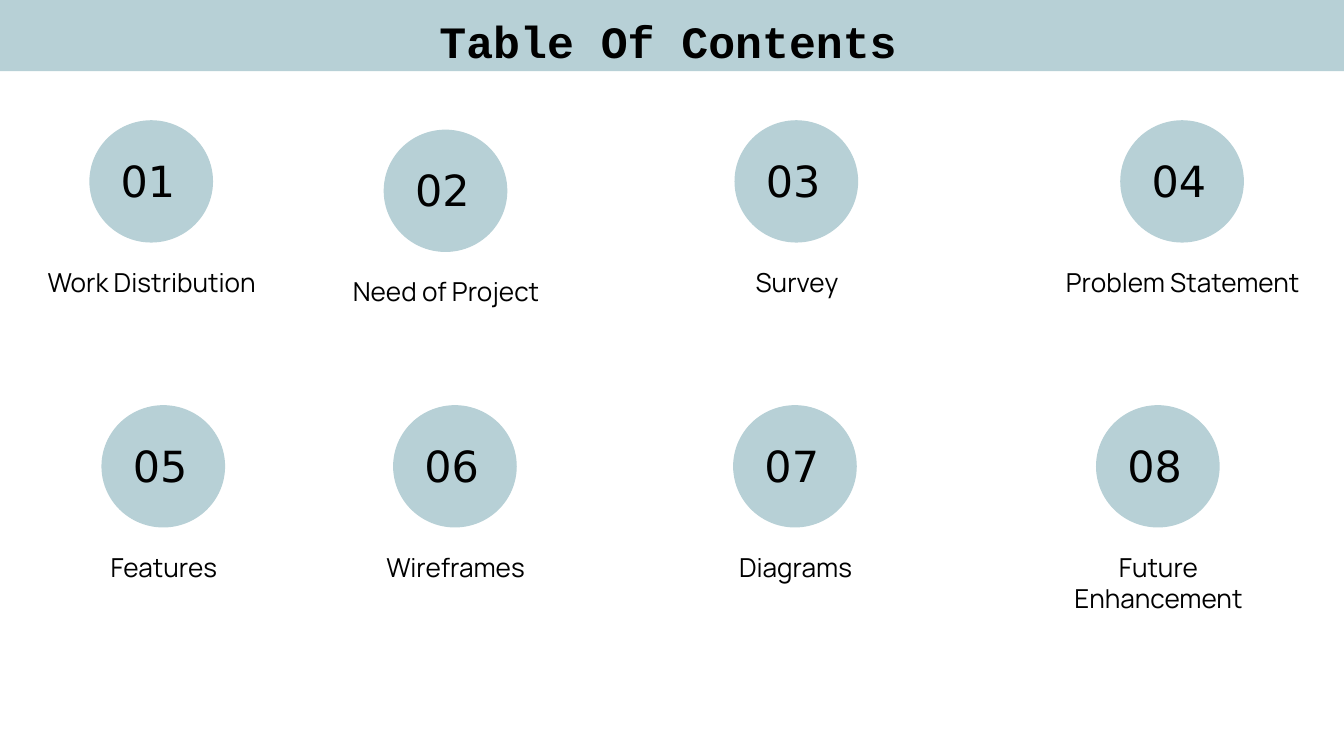
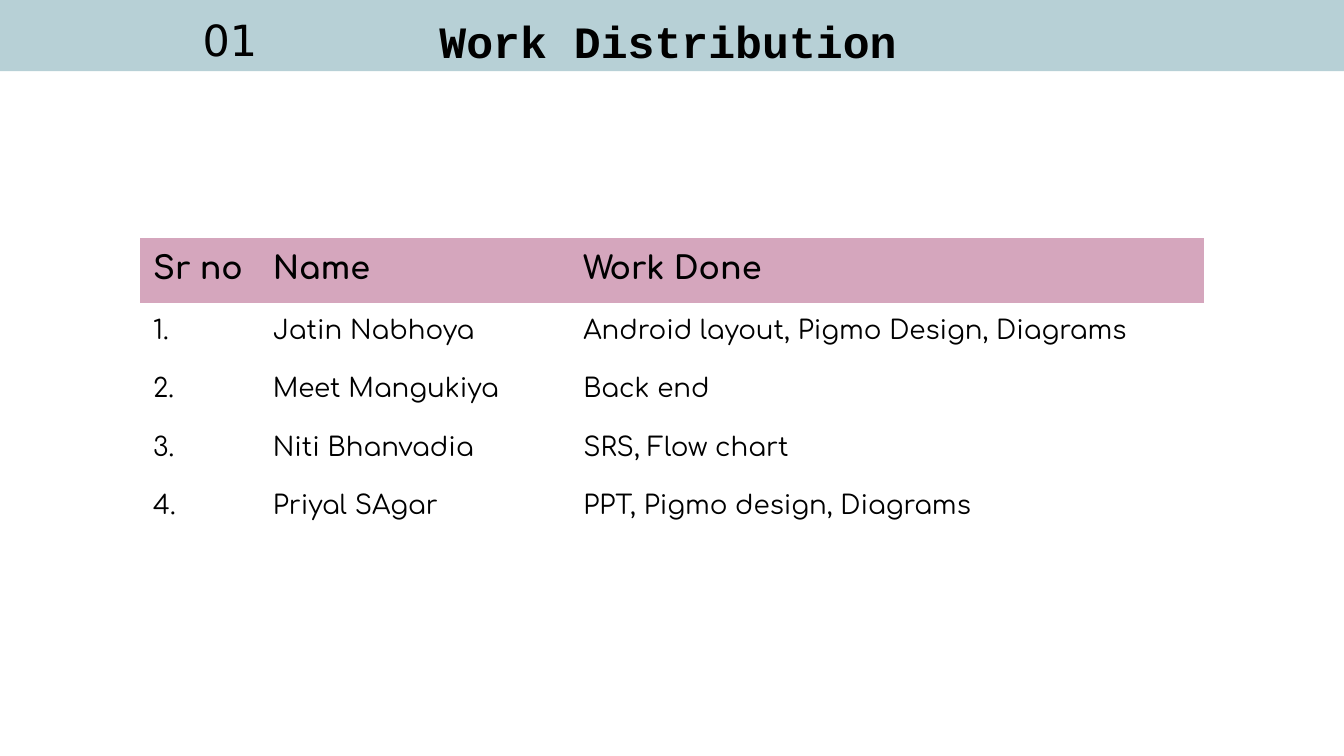
"""Build a contents slide and a work table slide under one shared band."""
import dataclasses
import typing

import pptx
import pptx.dml.color
import pptx.enum.shapes
import pptx.enum.text
import pptx.oxml.ns
import pptx.util

Align = pptx.enum.text.PP_ALIGN
Shape = pptx.enum.shapes.MSO_SHAPE


@dataclasses.dataclass(frozen=True)
class Style:
    """Font, size, weight and alignment of a text."""
    font: str
    size: float
    bold: bool = False
    align: Align = Align.LEFT


@dataclasses.dataclass(frozen=True)
class Theme:
    """Colours and type of the deck."""
    band: str = "B7D0D6"
    head: str = "D5A6BD"
    paper: str = "FFFFFF"
    ink: str = "000000"
    title: Style = Style("Courier New", 24, True, Align.CENTER)
    number: Style = Style("DejaVu Sans", 23)
    label: Style = Style("Manrope", 14, False, Align.CENTER)
    header: Style = Style("Comfortaa", 17, True)
    body: Style = Style("Comfortaa", 14)


class Box(typing.NamedTuple):
    """Left, top, width and height in grid columns and rows."""
    left: float
    top: float
    width: float
    height: float


@dataclasses.dataclass(frozen=True)
class Topic:
    """A numbered disc with a label below it."""
    text: str
    left: float
    top: float
    lines: int = 1


THEME = Theme()
CELL = 0.1
WIDE, HIGH = 100, 56.25
DISC = (9.1, 9)
LABEL = (20.2, 4.4)
LINE = 2.3
FIRST, LAST = 9, 30.2
TOPICS = (
    Topic("Work Distribution", 6.7, FIRST),
    Topic("Need of Project", 28.6, FIRST + 0.7),
    Topic("Survey", 54.7, FIRST),
    Topic("Problem Statement", 83.4, FIRST),
    Topic("Features", 7.6, LAST),
    Topic("Wireframes", 29.3, LAST),
    Topic("Diagrams", 54.6, LAST),
    Topic("Future Enhancement", 81.6, LAST, 2),
)
COLS = (8.9, 23.1, 47.2)
ROW = 4.2
TASKS = (
    ("Sr no", "Name", "Work Done"),
    ("1.", "Jatin Nabhoya", "Android layout, Pigmo Design, Diagrams"),
    ("2.", "Meet Mangukiya", "Back end"),
    ("3.", "Niti Bhanvadia", "SRS, Flow chart"),
    ("4.", "Priyal SAgar", "PPT, Pigmo design, Diagrams"),
)


def span(count: float) -> int:
    """Turn a count of grid cells into a length."""
    return pptx.util.Inches(count * CELL)


def frame(box: Box) -> tuple[int, ...]:
    """Turn a grid box into four lengths."""
    return tuple(span(side) for side in box)


def tint(code: str) -> pptx.dml.color.RGBColor:
    """Turn a hex code into a colour."""
    return pptx.dml.color.RGBColor.from_string(code)


def write(text_frame, text: str, *, style: Style, colour: str = THEME.ink) -> None:
    """Write one formatted paragraph."""
    text_frame.word_wrap = True
    line = text_frame.paragraphs[0]
    line.alignment = style.align
    line.line_spacing = 1.0
    run = line.add_run()
    run.text = text
    run.font.name = style.font
    run.font.size = pptx.util.Pt(style.size)
    run.font.bold = style.bold
    run.font.color.rgb = tint(colour)


def inset(item) -> None:
    """Give a text frame or cell equal margins and set it to the top."""
    item.margin_left = item.margin_right = span(1)
    item.margin_top = item.margin_bottom = span(1)
    item.vertical_anchor = pptx.enum.text.MSO_ANCHOR.TOP


def fill_box(shape, text: str, style: Style) -> None:
    """Write into a box that grows with its text."""
    inset(shape.text_frame)
    write(shape.text_frame, text, style=style)
    shape.text_frame.auto_size = pptx.enum.text.MSO_AUTO_SIZE.SHAPE_TO_FIT_TEXT


def add_text(slide, box: Box, text: str, style: Style) -> None:
    """Add a text box."""
    fill_box(slide.shapes.add_textbox(*frame(box)), text, style)


def add_form(slide, kind: Shape, box: Box, line: bool):
    """Add a flat shape in the band colour."""
    shape = slide.shapes.add_shape(kind, *frame(box))
    shape.shadow.inherit = False
    shape.fill.solid()
    shape.fill.fore_color.rgb = tint(THEME.band)
    if line:
        shape.line.color.rgb = tint(THEME.band)
        shape.line.width = pptx.util.Pt(0.75)
    else:
        shape.line.fill.background()
    return shape


def add_number(slide, left: float, top: float, count: int) -> None:
    """Add a two-digit number."""
    add_text(slide, Box(left, top, 6.6, 5.9), f"{count:02}", THEME.number)


def add_topic(slide, count: int, topic: Topic) -> None:
    """Draw a disc with its number and label."""
    add_form(slide, Shape.OVAL, Box(topic.left, topic.top, *DISC), True)
    add_number(slide, topic.left + 1.3, topic.top + 1.5, count)
    wide, high = LABEL
    tall = high + (topic.lines - 1) * LINE
    box = Box(topic.left - 5.5, topic.top + 9.8, wide, tall)
    add_text(slide, box, topic.text, THEME.label)


def add_table(slide, left: float, top: float) -> None:
    """Draw the work table with a filled header row."""
    box = Box(left, top, sum(COLS), ROW * len(TASKS))
    table = slide.shapes.add_table(len(TASKS), len(COLS), *frame(box)).table
    table.first_row = table.horz_banding = False
    mark = next(table._tbl.iter(pptx.oxml.ns.qn("a:tableStyleId")))
    mark.text = "{2D5ABB26-0587-4C30-8999-92F81FD0307C}"
    for column, width in zip(table.columns, COLS):
        column.width = span(width)
    for row, task in enumerate(TASKS):
        for col, text in enumerate(task):
            cell = table.cell(row, col)
            inset(cell)
            if row == 0:
                cell.fill.solid()
                cell.fill.fore_color.rgb = tint(THEME.head)
            else:
                cell.fill.background()
            style = THEME.body if row else THEME.header
            write(cell.text_frame, text, style=style)


def add_slide(deck, title: str):
    """Add a slide with its title in the placeholder."""
    slide = deck.slides.add_slide(deck.slide_layouts[5])
    head = slide.shapes.title
    head.left, head.top, head.width, head.height = frame(Box(1.2, 0, 97, 6.1))
    fill_box(head, title, THEME.title)
    return slide


def set_master(deck, slide) -> None:
    """Put the paper colour and the top band on the slide master."""
    master = deck.slide_master
    master.background.fill.solid()
    master.background.fill.fore_color.rgb = tint(THEME.paper)
    band = add_form(slide, Shape.RECTANGLE, Box(0, 0, WIDE, 5.3), False)
    master.element.cSld.spTree.insert(2, band.element)


def main() -> None:
    """Build and save the deck."""
    deck = pptx.Presentation()
    deck.slide_width, deck.slide_height = span(WIDE), span(HIGH)
    index = add_slide(deck, "Table Of Contents")
    set_master(deck, index)
    for count, topic in enumerate(TOPICS, 1):
        add_topic(index, count, topic)
    work = add_slide(deck, TOPICS[0].text)
    add_table(work, 10.4, 17.7)
    add_number(work, 14.1, 0, 1)
    deck.save("out.pptx")


if __name__ == "__main__":
    main()
